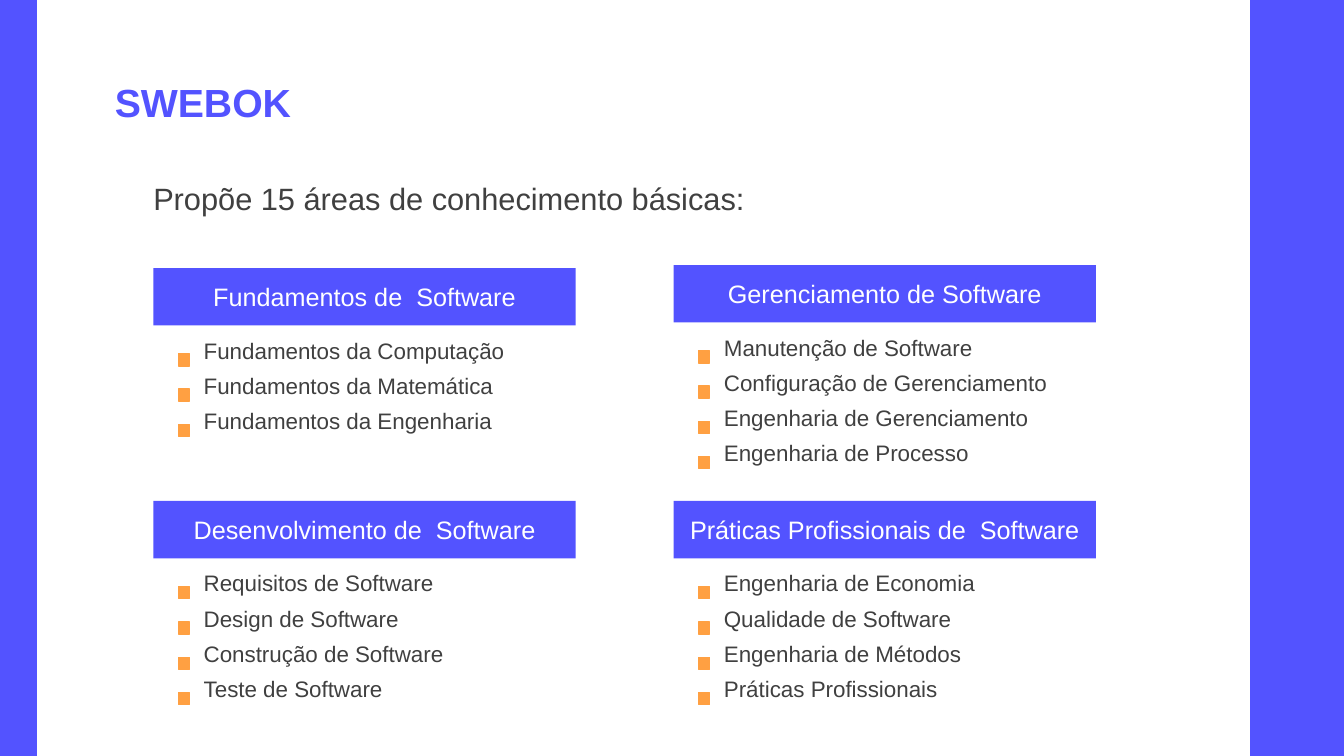
from pptx import Presentation
from pptx.dml.color import RGBColor
from pptx.enum.shapes import MSO_SHAPE
from pptx.enum.text import MSO_ANCHOR, PP_ALIGN
from pptx.util import Inches, Pt

COLORS = {"blue": "5353FF", "orange": "FFA042", "text": "404040", "white": "FFFFFF"}
FONT = "Arial"

# Knowledge areas: left, top, heading, topics
AREAS = [
    (1.52, 2.66, "Fundamentos de  Software",
     ["Fundamentos da Computação", "Fundamentos da Matemática",
      "Fundamentos da Engenharia"]),
    (1.52, 4.97, "Desenvolvimento de  Software",
     ["Requisitos de Software", "Design de Software",
      "Construção de Software", "Teste de Software"]),
    (6.68, 2.63, "Gerenciamento de Software",
     ["Manutenção de Software", "Configuração de Gerenciamento",
      "Engenharia de Gerenciamento", "Engenharia de Processo"]),
    (6.68, 4.97, "Práticas Profissionais de  Software",
     ["Engenharia de Economia", "Qualidade de Software",
      "Engenharia de Métodos", "Práticas Profissionais"]),
]
TOPIC_PITCH = 0.35


def color(name):
    return RGBColor.from_string(COLORS[name])


def write(frame, lines, size, ink, bold=False, align=PP_ALIGN.LEFT, before=0):
    frame.word_wrap = True
    frame.text = "\n".join(lines)
    for paragraph in frame.paragraphs:
        paragraph.alignment = align
        paragraph.space_before = Pt(before)
        paragraph.font.name = FONT
        paragraph.font.size = Pt(size)
        paragraph.font.bold = bold
        paragraph.font.color.rgb = color(ink)


def add_block(slide, left, top, width, height, fill, outlined=True):
    block = slide.shapes.add_shape(
        MSO_SHAPE.RECTANGLE, Inches(left), Inches(top), Inches(width), Inches(height))
    block.shadow.inherit = False
    block.fill.solid()
    block.fill.fore_color.rgb = color(fill)
    if outlined:
        block.line.color.rgb = color(fill)
        block.line.width = Pt(1)
    else:
        block.line.fill.background()
    return block


def add_text(slide, left, top, width, height, inset, lines, size, ink, **style):
    frame = slide.shapes.add_textbox(
        Inches(left), Inches(top), Inches(width), Inches(height)).text_frame
    frame.margin_left = frame.margin_right = Inches(inset)
    frame.margin_top = frame.margin_bottom = Inches(inset)
    write(frame, lines, size, ink, **style)
    return frame


def add_area(slide, left, top, heading, topics):
    header = add_block(slide, left, top, 4.19, 0.57, "blue", outlined=False)
    header.text_frame.vertical_anchor = MSO_ANCHOR.MIDDLE
    write(header.text_frame, [heading], 18, "white", align=PP_ALIGN.CENTER)

    # Square markers beside the topics
    for row in range(len(topics)):
        add_block(slide, left + 0.25, top + 0.85 + row * TOPIC_PITCH,
                  0.11, 0.12, "orange")
    add_text(slide, left + 0.37, top + 0.55, 3.58, 0.21 + 0.37 * len(topics), 0.13,
             topics, 16, "text", before=6)


def main():
    deck = Presentation()
    deck.slide_width, deck.slide_height = Inches(13.33), Inches(7.5)
    slide = deck.slides.add_slide(deck.slide_layouts[6])

    # Side bands
    add_block(slide, 12.4, 0, 0.94, 7.5, "blue")
    add_block(slide, -0.01, 0, 0.37, 7.5, "blue")

    # Title and introduction
    title = add_text(slide, 1.04, 0.78, 5.51, 0.56, 0.1, ["SWEBOK"], 28, "blue", bold=True)
    title.vertical_anchor = MSO_ANCHOR.BOTTOM
    add_text(slide, 1.39, 1.65, 6.98, 0.75, 0.13,
             ["Propõe 15 áreas de conhecimento básicas:"], 22, "text", before=6)

    # Groups of knowledge areas
    for area in AREAS:
        add_area(slide, *area)

    deck.save("out.pptx")


if __name__ == "__main__":
    main()
